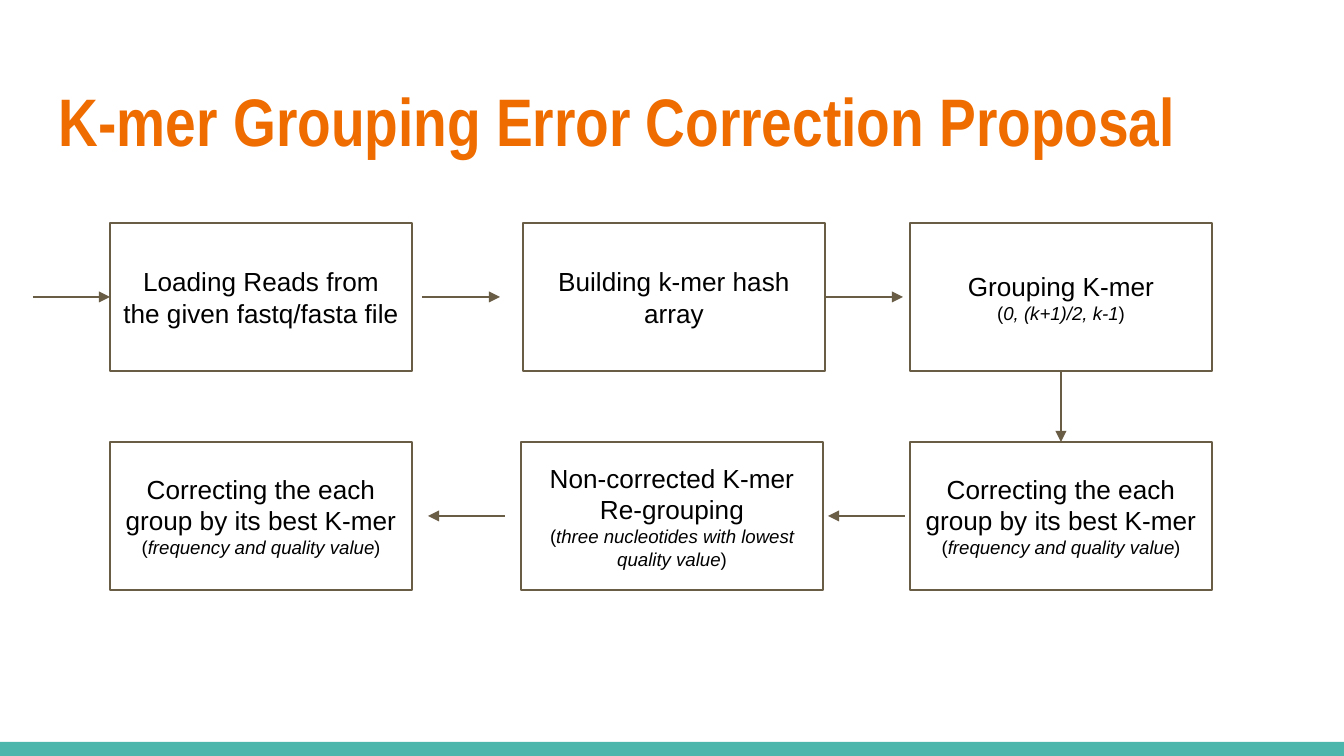
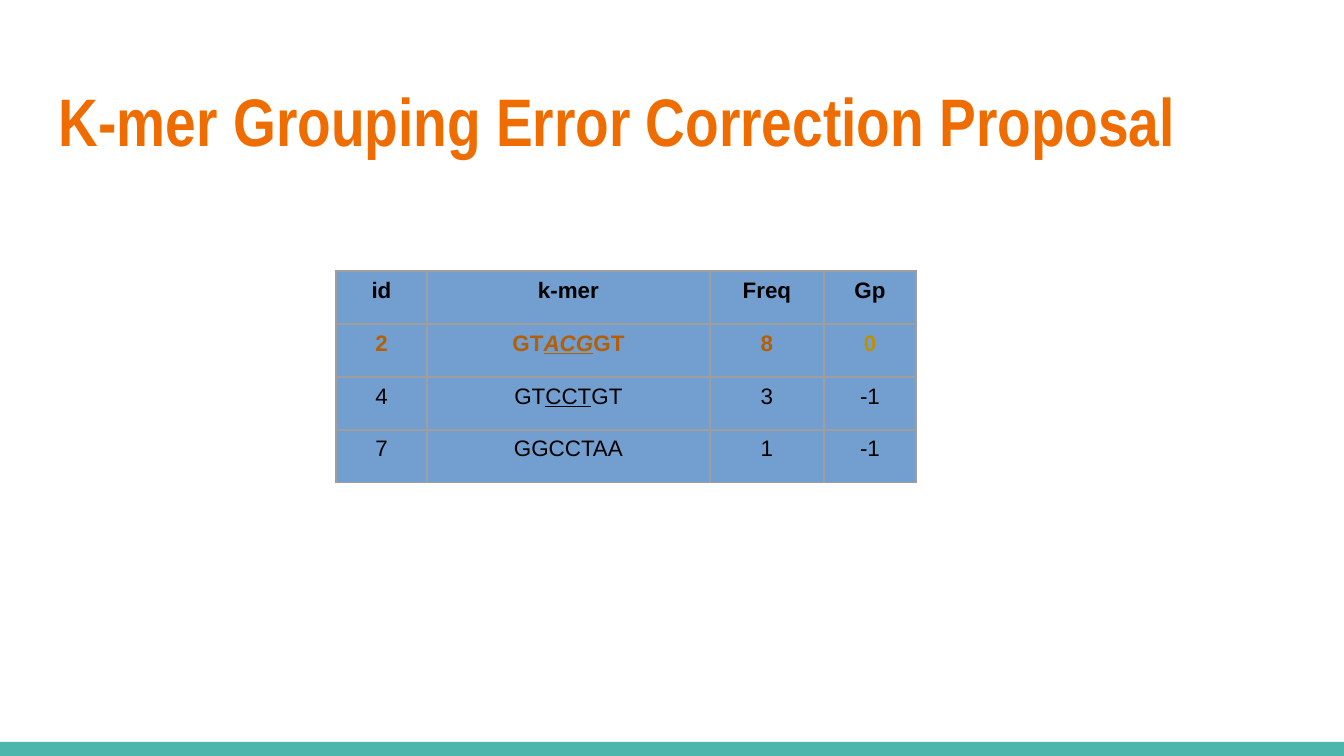
import dataclasses

import lxml.etree
import pptx
import pptx.dml.color
import pptx.enum.shapes
import pptx.enum.text
import pptx.oxml.ns
import pptx.util

SCALE = 9144000 / 1344  # EMU in one px
WIDE, HIGH = 1344, 756
TITLE = "K-mer Grouping Error Correction Proposal"


@dataclasses.dataclass(frozen=True)
class Theme:
    band: str = "4DB6AC"
    title: str = "EF6C00"
    line: str = "695D46"
    ink: str = "000000"
    cell: str = "729FCF"
    grid: str = "9E9E9E"
    best: str = "B45F06"
    group: str = "BF9000"
    body: str = "Arial"
    head: str = "Arial Narrow"
    big: int = 36
    step: int = 14
    note: int = 10
    data: int = 12
    rule: float = 0.75


LOOK = Theme()


def px(*nums):
    return [pptx.util.Emu(round(n * SCALE)) for n in nums]


def rgb(code):
    return pptx.dml.color.RGBColor.from_string(code)


def style(par, size, color=LOOK.ink, face=LOOK.body, bold=False):
    for run in par.runs:
        font = run.font
        font.size, font.name, font.bold = pptx.util.Pt(size), face, bold
        font.color.rgb = rgb(color)


def split(par, text, italic=False, under=False):
    """Make runs from text; the parts between bars are emphasised."""
    for i, part in enumerate(text.split("|")):
        run = par.add_run()
        run.text = part
        if i % 2:
            run.font.italic, run.font.underline = italic, under


def center(par):
    par.alignment = pptx.enum.text.PP_ALIGN.CENTER


def pad(frame):
    frame.word_wrap = True
    (inset,) = px(13)
    frame.margin_left = frame.margin_right = inset
    frame.margin_top = frame.margin_bottom = inset


def rect(slide, *area):
    kind = pptx.enum.shapes.MSO_SHAPE.RECTANGLE
    shape = slide.shapes.add_shape(kind, *px(*area))
    shape.shadow.inherit = False
    return shape


def page(deck):
    """Add a slide with the shared band and title."""
    slide = deck.slides.add_slide(deck.slide_layouts[6])
    band = rect(slide, 0, 742, WIDE, 14)
    band.fill.solid()
    band.fill.fore_color.rgb = rgb(LOOK.band)
    band.line.fill.background()
    frame = slide.shapes.add_textbox(*px(46, 66, 1253, 103)).text_frame
    pad(frame)
    frame.text = TITLE
    style(frame.paragraphs[0], LOOK.big, LOOK.title, LOOK.head, True)
    return slide


def step(slide, left, top, text, note=None):
    box = rect(slide, left, top, 302, 148)
    box.fill.background()
    box.line.color.rgb = rgb(LOOK.line)
    box.line.width = pptx.util.Pt(LOOK.rule)
    frame = box.text_frame
    pad(frame)
    frame.vertical_anchor = pptx.enum.text.MSO_ANCHOR.MIDDLE
    frame.text = text
    first = frame.paragraphs[0]
    center(first)
    style(first, LOOK.step)
    if note:
        par = frame.add_paragraph()
        split(par, f"(|{note}|)", italic=True)
        center(par)
        style(par, LOOK.note)


def arrow(slide, *ends):
    kind = pptx.enum.shapes.MSO_CONNECTOR.STRAIGHT
    link = slide.shapes.add_connector(kind, *px(*ends))
    link.line.color.rgb = rgb(LOOK.line)
    link.line.width = pptx.util.Pt(LOOK.rule)
    qn = pptx.oxml.ns.qn
    tip = lxml.etree.SubElement(link.line._get_or_add_ln(), qn("a:tailEnd"))
    tip.set("type", "triangle")
    lxml.etree.SubElement(link._element.spPr, qn("a:effectLst"))


def edge(cell):
    """Draw the four borders of a cell."""
    qn = pptx.oxml.ns.qn
    props = cell._tc.get_or_add_tcPr()
    for side in "LRTB":
        line = lxml.etree.SubElement(props, qn(f"a:ln{side}"))
        line.set("w", str(pptx.util.Pt(LOOK.rule)))
        fill = lxml.etree.SubElement(line, qn("a:solidFill"))
        lxml.etree.SubElement(fill, qn("a:srgbClr")).set("val", LOOK.grid)


def table(slide, left, cols, rows, accent):
    """Add a table with a bold header and a bold, coloured first row."""
    tall = 53
    area = px(left, 271, sum(cols), tall * len(rows))
    grid = slide.shapes.add_table(len(rows), len(cols), *area).table
    grid.first_row = grid.horz_banding = False
    for col, wide in zip(grid.columns, px(*cols)):
        col.width = wide
    for r, row in enumerate(rows):
        grid.rows[r].height = px(tall)[0]
        for c, text in enumerate(row):
            cell = grid.cell(r, c)
            edge(cell)
            cell.fill.solid()
            cell.fill.fore_color.rgb = rgb(LOOK.cell)
            par = cell.text_frame.paragraphs[0]
            split(par, text, italic=r == 1, under=True)
            center(par)
            color = accent if r == 1 else LOOK.ink
            style(par, LOOK.data, color, bold=r < 2)


def flow(deck):
    slide = page(deck)
    top, low = 223, 442
    best = ("Correcting the each group by its best K-mer",
            "frequency and quality value")
    step(slide, 110, top, "Loading Reads from the given fastq/fasta file")
    step(slide, 523, top, "Building k-mer hash array")
    step(slide, 910, top, "Grouping K-mer", "0, (k+1)/2, k-1")
    step(slide, 910, low, *best)
    step(slide, 521, low, "Non-corrected K-mer Re-grouping",
         "three nucleotides with lowest quality value")
    step(slide, 110, low, *best)
    for start, end, y in ((33, 110, 297), (422, 500, 297), (825, 903, 297),
                          (905, 828, 516), (505, 428, 516)):
        arrow(slide, start, y, end, y)
    arrow(slide, 1061, 371, 1061, low)


def kmers(deck):
    slide = page(deck)
    rows = (("id", "k-mer", "Freq"),
            ("2", "GT|ACG|GT", "8"),
            ("4", "GT|CCT|GT", "3"),
            ("7", "GGCCTAA", "1"))
    table(slide, 336, (91, 283, 114), rows, LOOK.best)
    table(slide, 824, (92,), (("Gp",), ("0",), ("-1",), ("-1",)), LOOK.group)


def main():
    deck = pptx.Presentation()
    deck.slide_width, deck.slide_height = px(WIDE, HIGH)
    flow(deck)
    kmers(deck)
    deck.save("out.pptx")


if __name__ == "__main__":
    main()
